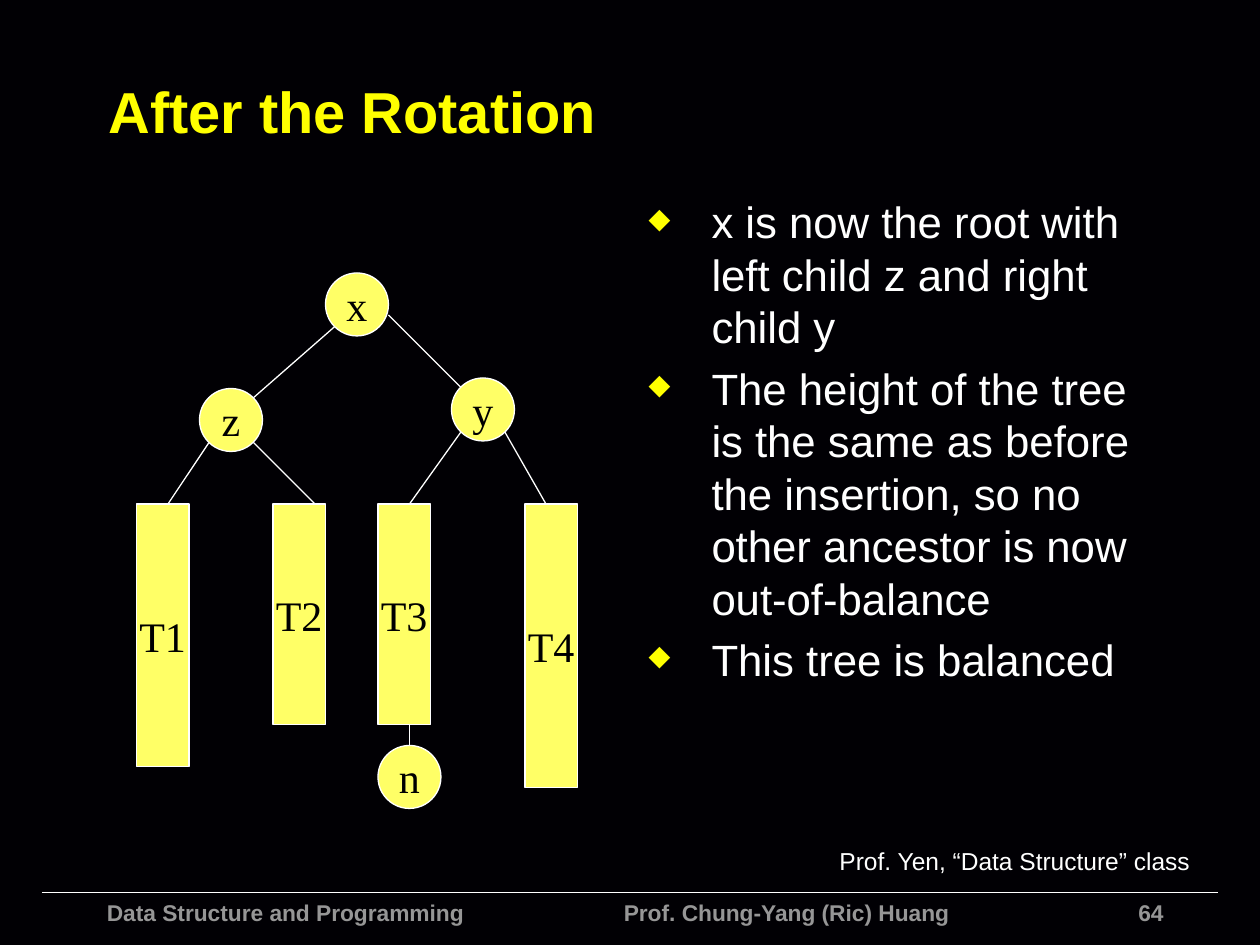
from lxml import etree
from pptx import Presentation
from pptx.dml.color import RGBColor
from pptx.enum import shapes, text
from pptx.oxml.ns import qn
from pptx.util import Pt

# Content
TITLE = "After the Rotation"
POINTS = [
    "x is now the root with left child z and right child y",
    "The height of the tree is the same as before the insertion, "
    "so no other ancestor is now out-of-balance",
    "This tree is balanced",
]
CREDIT = "Prof. Yen, “Data Structure” class"
COURSE = "Data Structure and Programming\tProf. Chung-Yang (Ric) Huang"
PAGE = "64"

NODE = 36                      # node diameter
TREE_WIDTH, TREE_TOP = 30, 288
NODES = {"z": (114, 222), "x": (186, 156), "y": (258, 216), "n": (216, 426)}
SUBTREES = {"T1": (78, 150), "T2": (156, 126), "T3": (216, 126), "T4": (300, 162)}  # left, height
EDGES = [
    (192, 186, 144, 228),      # x - z
    (222, 180, 264, 222),      # x - y
    (120, 252, 96, 288),       # z - T1
    (144, 252, 180, 288),      # z - T2
    (264, 246, 234, 288),      # y - T3
    (288, 246, 312, 288),      # y - T4
    (234, 414, 234, 426),      # T3 - n
]
WHITE, BLACK, YELLOW, PALE, GREY = "FFFFFF", "000000", "FFFF00", "FFFF66", "969696"


def color(value):
    return RGBColor.from_string(value)


def style(paragraph, size, ink, name="Arial", bold=False):
    font = paragraph.font
    font.size, font.name, font.bold = Pt(size), name, bold
    font.color.rgb = color(ink)


def add_frame(box, anchor=text.MSO_ANCHOR.TOP):
    frame = slide.shapes.add_textbox(*map(Pt, box)).text_frame
    frame.word_wrap, frame.vertical_anchor = True, anchor
    return frame


def add_text(box, words, size, ink, bold=False, align=text.PP_ALIGN.LEFT,
             anchor=text.MSO_ANCHOR.TOP):
    frame = add_frame(box, anchor)
    paragraph = frame.paragraphs[0]
    paragraph.text, paragraph.alignment = words, align
    style(paragraph, size, ink, bold=bold)
    return frame


def add_line(x1, y1, x2, y2, width=0.75):
    line = slide.shapes.add_connector(shapes.MSO_CONNECTOR.STRAIGHT,
                                      *map(Pt, (x1, y1, x2, y2)))
    line.line.color.rgb, line.line.width = color(WHITE), Pt(width)
    etree.SubElement(line._element.spPr, qn("a:effectLst"))


def add_part(kind, box, label):
    part = slide.shapes.add_shape(kind, *map(Pt, box))
    part.shadow.inherit = False
    part.fill.solid()
    part.fill.fore_color.rgb = color(PALE)
    part.line.color.rgb, part.line.width = color(WHITE), Pt(0.75)
    frame = part.text_frame
    frame.word_wrap, frame.vertical_anchor = False, text.MSO_ANCHOR.MIDDLE
    paragraph = frame.paragraphs[0]
    paragraph.text, paragraph.alignment = label, text.PP_ALIGN.CENTER
    style(paragraph, 24, BLACK, "Times New Roman")


def add_bullet(paragraph):
    props = paragraph._p.get_or_add_pPr()
    props.set("marL", str(Pt(36)))
    props.set("indent", str(-Pt(36)))
    ink = etree.SubElement(props, qn("a:buClr"))
    etree.SubElement(ink, qn("a:srgbClr"), val=YELLOW)
    etree.SubElement(props, qn("a:buSzPct"), val="65000")
    etree.SubElement(props, qn("a:buChar"), char="◆")


deck = Presentation()
deck.slide_width, deck.slide_height = Pt(720), Pt(540)
slide = deck.slides.add_slide(deck.slide_layouts[6])
slide.background.fill.solid()
slide.background.fill.fore_color.rgb = color("010004")

# Footer
add_line(24, 510, 696, 510, 1)
add_text((444, 510, 228, 13), PAGE, 13, GREY, True, text.PP_ALIGN.RIGHT)
footer = add_text((54, 510, 521, 30), COURSE, 13, GREY, True).paragraphs[0]
tabs = etree.Element(qn("a:tabLst"))
etree.SubElement(tabs, qn("a:tab"), pos=str(Pt(295.4)), algn="l")
footer._p.get_or_add_pPr().insert(0, tabs)

# Title and points
add_text((55, 26.5, 636, 73), TITLE, 33, YELLOW, True, anchor=text.MSO_ANCHOR.MIDDLE)
body = add_frame((363.5, 108, 300, 372))
for index, point in enumerate(POINTS):
    paragraph = body.paragraphs[0] if index == 0 else body.add_paragraph()
    paragraph.text = point
    paragraph.line_spacing = Pt(30)
    if index:
        paragraph.space_before = Pt(5)
    add_bullet(paragraph)
    style(paragraph, 25, WHITE)

# Tree
for edge in EDGES:
    add_line(*edge)
for label, (left, height) in SUBTREES.items():
    add_part(shapes.MSO_SHAPE.RECTANGLE, (left, TREE_TOP, TREE_WIDTH, height), label)
for label, (left, top) in NODES.items():
    add_part(shapes.MSO_SHAPE.OVAL, (left, top, NODE, NODE), label)

# Credit, on one line
credit = add_text((476, 480, 208, 24), CREDIT, 14, WHITE, align=text.PP_ALIGN.CENTER)
credit.word_wrap = False
credit.margin_left = credit.margin_right = Pt(3.6)

deck.save("out.pptx")
